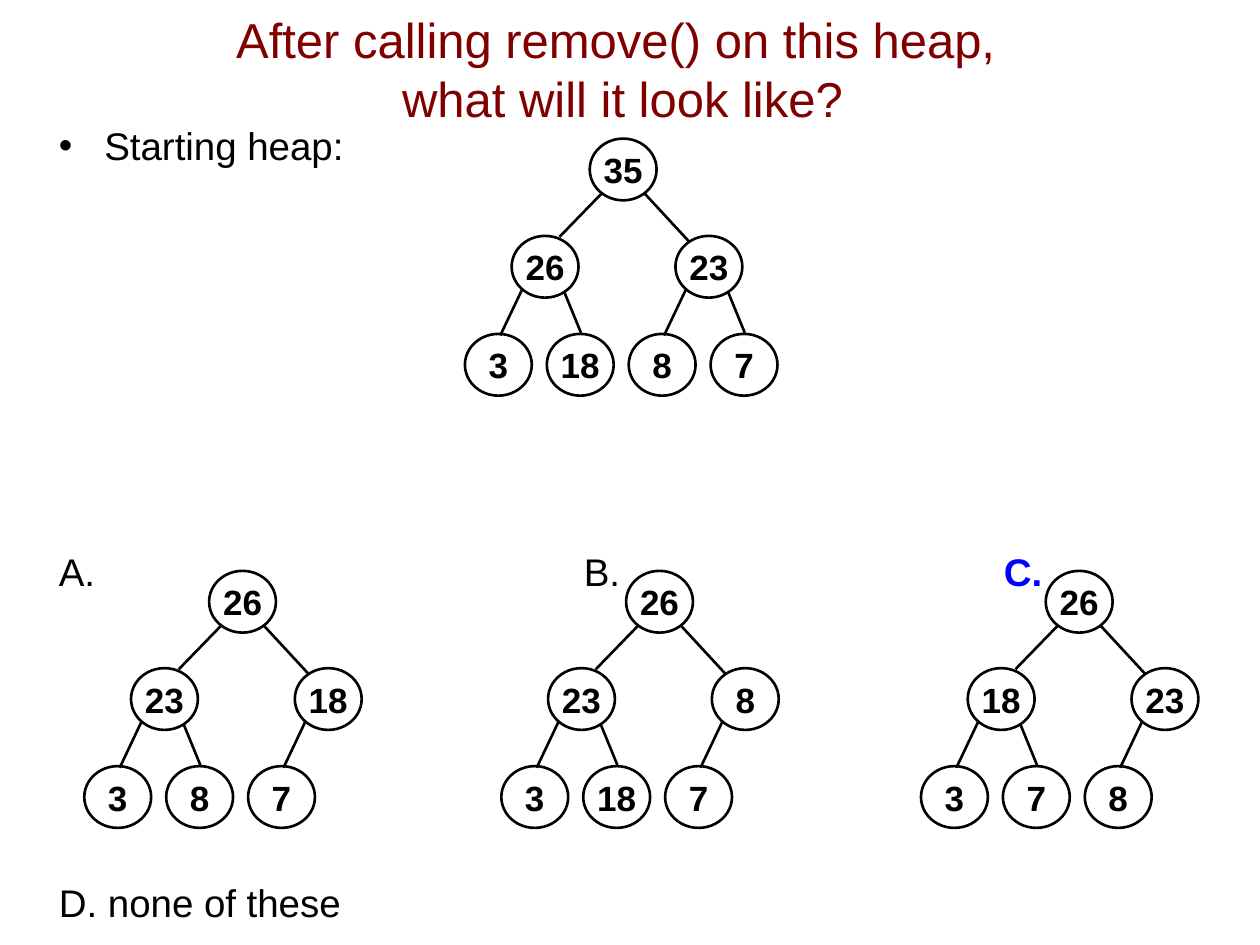
import lxml.etree
import pptx
import pptx.dml.color
import pptx.enum.shapes
import pptx.enum.text
import pptx.oxml.ns
import pptx.util

Pt = pptx.util.Pt
qn = pptx.oxml.ns.qn
BLACK = pptx.dml.color.RGBColor(0x00, 0x00, 0x00)
MAROON = pptx.dml.color.RGBColor(0x80, 0x00, 0x00)
BLUE = pptx.dml.color.RGBColor(0x00, 0x00, 0xFF)

NODE_WIDTH, NODE_HEIGHT = 38.2, 35.3
NODE_OFFSETS = [(0, 0), (-44.6, 55.6), (49, 55.6)] + [
    (-71.3 + 46.8 * column, 111.6) for column in range(4)
]
ROOT_EDGES = [(6.5, 31.7, -17.3, 56.2), (31, 31, 56.9, 59)]
LEAF_EDGES = [(5.8, 31, -6.5, 56.9), (30.2, 32.4, 39.6, 55.4)]

HEAPS = [
    (337, 79.2, [35, 26, 23, 3, 18, 8, 7]),
    (119.5, 326.2, [26, 23, 18, 3, 8, 7]),
    (357.8, 326.2, [26, 23, 8, 3, 18, 7]),
    (597.6, 326.2, [26, 18, 23, 3, 7, 8]),
]


class HeapSlide:
    font_name = "Arial"
    line_width = 1.5

    def __init__(self, presentation):
        self.slide = presentation.slides.add_slide(presentation.slide_layouts[6])

    def run(self, paragraph, text, size, color=BLACK, bold=False):
        run = paragraph.add_run()
        run.text = text
        run.font.name = self.font_name
        run.font.size = Pt(size)
        run.font.bold = bold
        run.font.color.rgb = color

    def text_box(self, left, top, width, height):
        shape = self.slide.shapes.add_textbox(Pt(left), Pt(top), Pt(width), Pt(height))
        shape.text_frame.word_wrap = True
        return shape.text_frame

    def title(self, lines):
        frame = self.text_box(46.1, 5.8, 619.2, 67)
        frame.vertical_anchor = pptx.enum.text.MSO_ANCHOR.MIDDLE
        paragraph = frame.paragraphs[0]
        paragraph.alignment = pptx.enum.text.PP_ALIGN.CENTER
        for index, line in enumerate(lines):
            if index:
                paragraph.add_line_break()
            self.run(paragraph, line, 28, MAROON)

    def bullet(self, paragraph, symbol, indent):
        properties = paragraph._p.get_or_add_pPr()
        properties.set("marL", str(Pt(indent)))
        properties.set("indent", str(-Pt(indent)))
        lxml.etree.SubElement(properties, qn("a:buFont"), typeface=self.font_name)
        lxml.etree.SubElement(properties, qn("a:buChar"), char=symbol)

    def tabs(self, paragraph, positions):
        properties = paragraph._p.get_or_add_pPr()
        tab_list = lxml.etree.SubElement(properties, qn("a:tabLst"))
        for position in positions:
            lxml.etree.SubElement(tab_list, qn("a:tab"), pos=str(Pt(position)), algn="l")

    def body(self):
        frame = self.text_box(26.6, 66.2, 693.4, 442)
        start = frame.paragraphs[0]
        self.bullet(start, "•", 26)
        self.run(start, "Starting heap:", 22)

        choices = frame.add_paragraph()
        self.tabs(choices, [300, 540])
        choices.space_before = Pt(217)
        self.run(choices, "A.\tB.\t", 22)
        self.run(choices, "C.", 22, BLUE, True)

        last = frame.add_paragraph()
        last.space_before = Pt(162.7)
        self.run(last, "D. none of these", 22)

    def outline(self, shape):
        shape.line.color.rgb = BLACK
        shape.line.width = Pt(self.line_width)

    def node(self, left, top, value):
        shape = self.slide.shapes.add_shape(
            pptx.enum.shapes.MSO_SHAPE.OVAL,
            Pt(left), Pt(top), Pt(NODE_WIDTH), Pt(NODE_HEIGHT),
        )
        shape.shadow.inherit = False
        shape.fill.background()
        self.outline(shape)
        frame = shape.text_frame
        frame.margin_left = frame.margin_right = 0
        frame.margin_top = frame.margin_bottom = 0
        frame.word_wrap = False
        frame.vertical_anchor = pptx.enum.text.MSO_ANCHOR.MIDDLE
        paragraph = frame.paragraphs[0]
        paragraph.alignment = pptx.enum.text.PP_ALIGN.CENTER
        self.run(paragraph, str(value), 20, BLACK, True)

    def edge(self, left, top, ends):
        start_x, start_y, end_x, end_y = ends
        connector = self.slide.shapes.add_connector(
            pptx.enum.shapes.MSO_CONNECTOR.STRAIGHT,
            Pt(left + start_x), Pt(top + start_y),
            Pt(left + end_x), Pt(top + end_y),
        )
        self.outline(connector)
        lxml.etree.SubElement(connector._element.spPr, qn("a:effectLst"))

    def heap(self, left, top, values):
        for index, value in enumerate(values):
            offset_x, offset_y = NODE_OFFSETS[index]
            self.node(left + offset_x, top + offset_y, value)
            if index:
                parent = (index - 1) // 2
                parent_x, parent_y = NODE_OFFSETS[parent]
                edges = LEAF_EDGES if parent else ROOT_EDGES
                self.edge(left + parent_x, top + parent_y, edges[(index - 1) % 2])


def main():
    presentation = pptx.Presentation()
    presentation.slide_width = Pt(720)
    presentation.slide_height = Pt(540)
    slide = HeapSlide(presentation)
    slide.title(["After calling remove() on this heap, ", "what will it look like?"])
    slide.body()
    for left, top, values in HEAPS:
        slide.heap(left, top, values)
    presentation.save("out.pptx")


if __name__ == "__main__":
    main()
